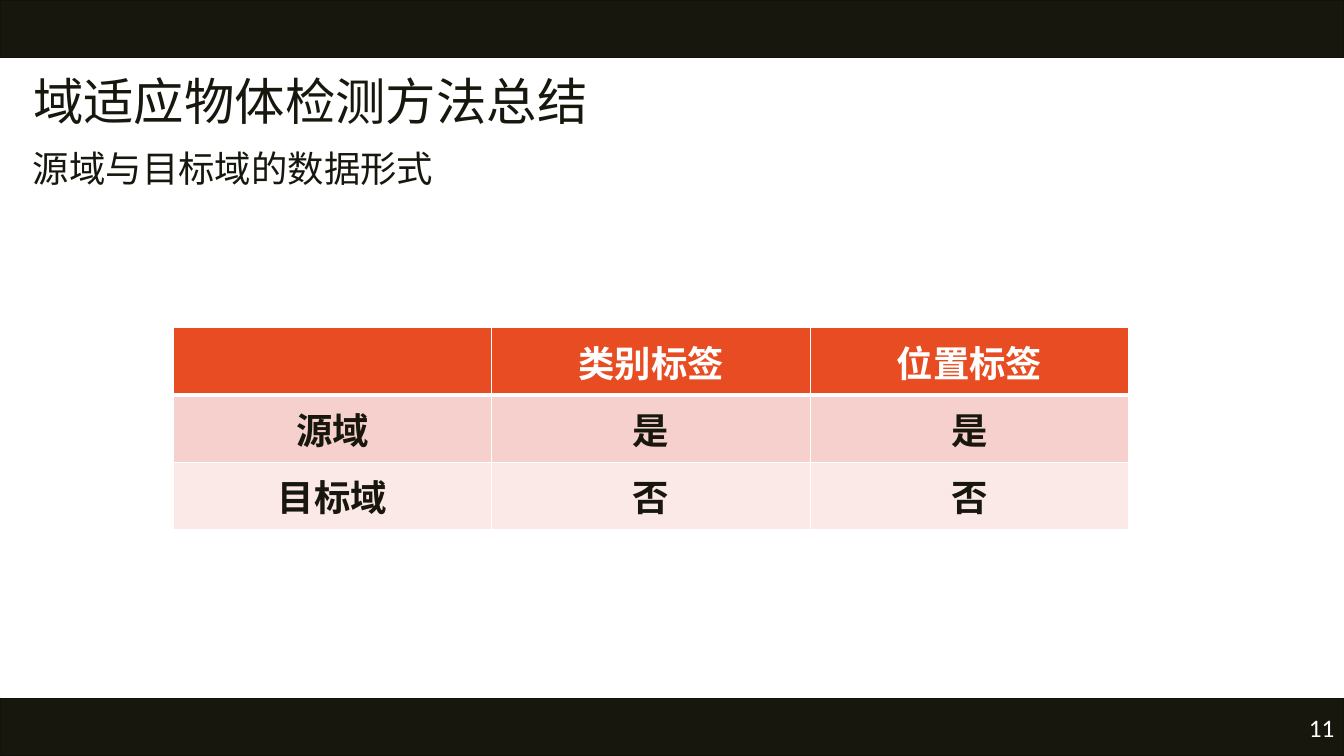
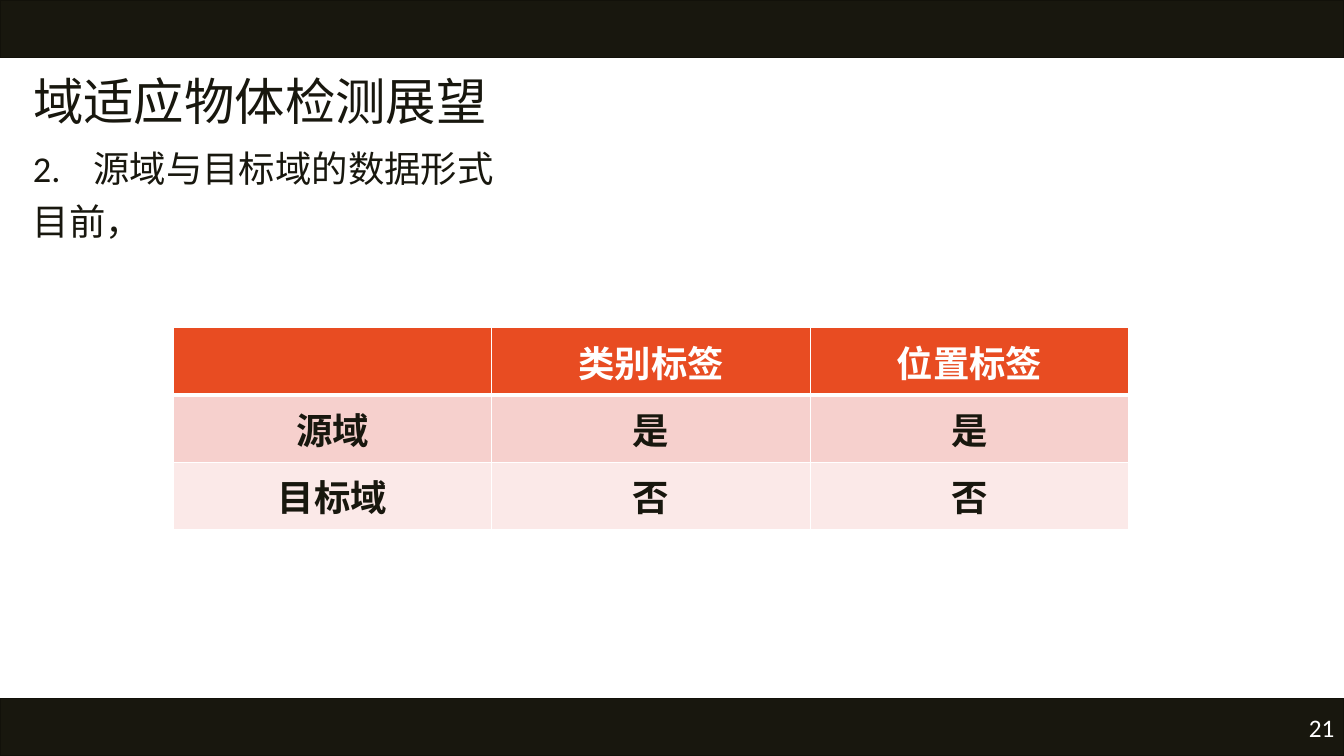
from lxml import etree
from pptx import Presentation, util as u
from pptx.dml import color
from pptx.enum import shapes, text
from pptx.oxml import ns

SLIDE_W, SLIDE_H = 33.87, 19.05
BAND_H = 1.45
LEFT, WIDTH = 0.58, 32.7
INK, EDGE, WHITE = "18170E", "12110A", "FFFFFF"
ROW_FILLS = ["E84C22", "F6D0CD", "FBE9E8"]
TITLE_FONT = {"name": "Calibri", "size": u.Pt(36), "bold": False}
BODY_FONT = {"name": "Calibri", "size": u.Pt(26), "bold": False}
CELL_FONT = {**BODY_FONT, "bold": True}
NUMBER_FONT = {**BODY_FONT, "size": u.Pt(18)}
BODY_SPACING = {"line_spacing": 0.9, "space_before": u.Pt(10)}

LABELS = [
    ["", "类别标签", "位置标签"],
    ["源域", "是", "是"],
    ["目标域", "否", "否"],
]
PAGES = [
    ("域适应物体检测方法总结", ["源域与目标域的数据形式"], "11"),
    ("域适应物体检测展望", ["2.\t源域与目标域的数据形式", "目前，"], "21"),
]


def rgb(value):
    return color.RGBColor.from_string(value)


def apply(target, values):
    for name, value in values.items():
        setattr(target, name, value)


def box(left, top, width, height):
    return [u.Cm(length) for length in (left, top, width, height)]


def write(frame, lines, font, ink, paragraph_format):
    frame.word_wrap = True
    frame.text = "\n".join(lines)
    for paragraph in frame.paragraphs:
        apply(paragraph, paragraph_format)
        for run in paragraph.runs:
            apply(run.font, font)
            run.font.color.rgb = rgb(ink)


def add_tab_stop(paragraph, position):
    stops = etree.SubElement(paragraph._p.get_or_add_pPr(), ns.qn("a:tabLst"))
    etree.SubElement(stops, ns.qn("a:tab"), pos=str(u.Cm(position)), algn="l")


def put_bands_on_layout(slide):
    tree = slide.slide_layout.shapes.element
    for index, top in enumerate((0, SLIDE_H - BAND_H)):
        band = slide.shapes.add_shape(
            shapes.MSO_SHAPE.RECTANGLE, *box(0, top, SLIDE_W, BAND_H))
        band.shadow.inherit = False
        band.fill.solid()
        band.fill.fore_color.rgb = rgb(INK)
        band.line.color.rgb = rgb(EDGE)
        band.line.width = u.Pt(1)
        band.element.nvSpPr.cNvPr.set("id", str(101 + index))
        tree.insert(2 + index, band.element)


def add_title(slide, title):
    heading = slide.shapes.title
    apply(heading, dict(zip(("left", "top", "width", "height"),
                            box(LEFT, 1.83, WIDTH, 1.6))))
    apply(heading.text_frame, {"vertical_anchor": text.MSO_ANCHOR.MIDDLE,
                               "auto_size": text.MSO_AUTO_SIZE.NONE})
    write(heading.text_frame, [title], TITLE_FONT, INK,
          {"line_spacing": 0.9, "alignment": text.PP_ALIGN.LEFT})


def add_text(slide, place, lines, font, ink, paragraph_format):
    frame = slide.shapes.add_textbox(*box(*place)).text_frame
    write(frame, lines, font, ink, paragraph_format)
    return frame


def add_border(cell, side, points):
    line = etree.SubElement(cell._tc.get_or_add_tcPr(), ns.qn(f"a:ln{side}"),
                            w=str(u.Pt(points)))
    fill = etree.SubElement(line, ns.qn("a:solidFill"))
    etree.SubElement(fill, ns.qn("a:srgbClr"), val=WHITE)


def add_label_table(slide):
    table = slide.shapes.add_table(
        len(LABELS), len(LABELS[0]), *box(4.37, 8.26, 24.08, 5.08)).table
    for row, labels in enumerate(LABELS):
        borders = {"L": 1, "R": 1, "T": 3 if row == 1 else 1,
                   "B": 3 if row == 0 else 1}
        for column, label in enumerate(labels):
            cell = table.cell(row, column)
            for side, points in borders.items():
                add_border(cell, side, points)
            cell.fill.solid()
            cell.fill.fore_color.rgb = rgb(ROW_FILLS[row])
            cell.vertical_anchor = text.MSO_ANCHOR.MIDDLE
            write(cell.text_frame, [label], CELL_FONT,
                  INK if row else WHITE, {"alignment": text.PP_ALIGN.CENTER})


def main():
    deck = Presentation()
    apply(deck, {"slide_width": u.Cm(SLIDE_W), "slide_height": u.Cm(SLIDE_H)})
    title_only = deck.slide_layouts[5]
    for index, (title, lines, number) in enumerate(PAGES):
        slide = deck.slides.add_slide(title_only)
        if index == 0:
            put_bands_on_layout(slide)
        add_title(slide, title)
        add_text(slide, (26.26, 17.83, 7.62, 1.02), [number], NUMBER_FONT,
                 WHITE, {"alignment": text.PP_ALIGN.RIGHT})
        body = add_text(slide, (LEFT, 3.68, WIDTH, 13.41), lines, BODY_FONT,
                        INK, BODY_SPACING)
        if "\t" in lines[0]:
            add_tab_stop(body.paragraphs[0], 1.52)
        add_label_table(slide)
    deck.save("out.pptx")


if __name__ == "__main__":
    main()
